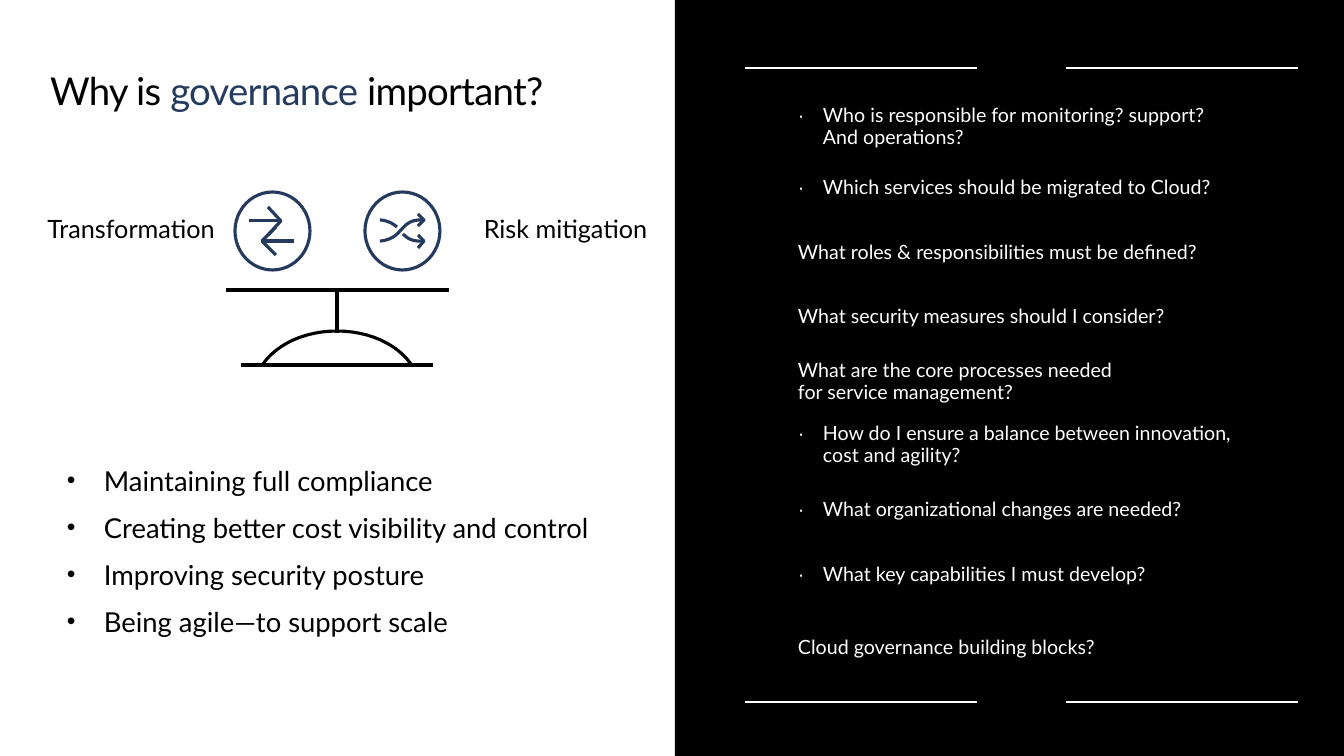
from lxml import etree
from pptx import Presentation
from pptx.dml.color import RGBColor
from pptx.enum.shapes import MSO_CONNECTOR, MSO_SHAPE
from pptx.enum.text import MSO_ANCHOR, MSO_AUTO_SIZE, PP_ALIGN
from pptx.oxml.ns import qn
from pptx.util import Pt

COLORS = {"ink": "000000", "navy": "243A5E", "paper": "FFFFFF"}
FONT = "Lato"
PX = 914400 / 100.8
SLIDE = (1344, 756)

TITLE = [("Why is ", "ink"), ("governance", "navy"), (" important?", "ink")]
GOALS = [
    "Maintaining full compliance",
    "Creating better cost visibility and control",
    "Improving security posture",
    "Being agile—to support scale",
]
# top, bulleted, text
QUESTIONS = [
    (106, True, "Who is responsible for monitoring? support?\nAnd operations?"),
    (178, True, "Which services should be migrated to Cloud?"),
    (243, False, "What roles & responsibilities must be defined?"),
    (307, False, "What security measures should I consider?"),
    (361, False, "What are the core processes needed\nfor service management?"),
    (424, True, "How do I ensure a balance between innovation,\ncost and agility?"),
    (500, True, "What organizational changes are needed?"),
    (565, True, "What key capabilities I must develop?"),
    (638, False, "Cloud governance building blocks?"),
]
SCALE_LABELS = [("Transformation", (46, 213, 170, 30)),
                ("Risk mitigation", (439, 213, 253, 30))]
CIRCLES = [(235, 192, 75, 78), (365, 192, 75, 78)]
SCALE_LINES = [(226, 290, 449, 290), (241, 365, 433, 365), (337, 290, 337, 333)]
RULE_LEFTS, RULE_TOPS, RULE_WIDTH = (745, 1066), (68, 702), 232

# Each stroke is a start point, then lines (x, y) or curves (x1, y1, x2, y2, x, y)
SWAP_ARROWS = [
    [(268, 207), (281, 221), (268, 235)],
    [(281, 221), (249, 221)],
    [(276, 227), (262, 241), (276, 255)],
    [(262, 241), (294, 241)],
]
SHUFFLE_ARROWS = [
    [(424, 241), (412, 242, 407, 238, 403, 234)],
    [(397, 227), (389, 220, 380, 220, 380, 220)],
    [(424, 220), (409, 219, 405, 226, 400, 231), (392, 241, 380, 241, 380, 241)],
    [(418, 226), (424, 220), (418, 214)],
    [(418, 248), (424, 241), (418, 235)],
]
DOME = [[(337, 331), (369, 331, 397, 344, 411, 364), (412, 365), (262, 365),
         (263, 364), (277, 344, 305, 331, 337, 331)]]


def emu(*lengths):
    return [round(length * PX) for length in lengths]


def rgb(name):
    return RGBColor.from_string(COLORS[name])


def add_bullet(para, mark, indent, percent):
    props = para._p.get_or_add_pPr()
    props.set("marL", str(emu(indent)[0]))
    props.set("indent", str(-emu(indent)[0]))
    for tag, key, value in (("a:buSzPct", "val", str(percent * 1000)),
                            ("a:buFont", "typeface", "Arial"),
                            ("a:buChar", "char", mark)):
        etree.SubElement(props, qn(tag)).set(key, value)


def write(box, paragraphs, size, color="ink", align=PP_ALIGN.LEFT, spacing=None,
          before=0, after=0, bullet=None, tracking=None):
    """Fill a box; each paragraph is a string or a list of (text, color) spans."""
    frame = box.text_frame
    frame.word_wrap = True
    frame.auto_size = MSO_AUTO_SIZE.NONE
    frame.vertical_anchor = MSO_ANCHOR.TOP
    frame.margin_left = frame.margin_right = frame.margin_top = frame.margin_bottom = 0
    for number, content in enumerate(paragraphs):
        para = frame.add_paragraph() if number else frame.paragraphs[0]
        if bullet:
            add_bullet(para, *bullet)
        para.alignment = align
        para.line_spacing = spacing
        para.space_before = Pt(before if number else 0)
        para.space_after = Pt(after)
        spans = [(content, color)] if isinstance(content, str) else content
        for text, span_color in spans:
            for row, line in enumerate(text.split("\n")):
                if row:
                    para.add_line_break()
                span = para.add_run()
                span.text = line
                span.font.name = FONT
                span.font.size = Pt(size)
                span.font.color.rgb = rgb(span_color)
                if tracking:
                    span._r.get_or_add_rPr().set("spc", str(tracking))


def place(box, *frame):
    box.left, box.top, box.width, box.height = emu(*frame)
    return box


def outline(shape, color):
    shape.shadow.inherit = False
    shape.fill.background()
    shape.line.color.rgb = rgb(color)
    shape.line.width = Pt(2.25)


def add_rule(page, ends, color, width):
    rule = page.shapes.add_connector(MSO_CONNECTOR.STRAIGHT, *emu(*ends))
    rule.line.color.rgb = rgb(color)
    rule.line.width = Pt(width)
    etree.SubElement(rule._element.spPr, qn("a:effectLst"))


def trace(stroke, steps=12):
    """Turn a stroke into points, sampling its cubic curves."""
    points = [stroke[0]]
    for move in stroke[1:]:
        if len(move) == 2:
            points.append(move)
            continue
        corners = [points[-1], move[:2], move[2:4], move[4:]]
        for step in range(1, steps + 1):
            t = step / steps
            weights = ((1 - t) ** 3, 3 * t * (1 - t) ** 2, 3 * t * t * (1 - t), t ** 3)
            points.append(tuple(sum(w * corner[axis] for w, corner in zip(weights, corners))
                                for axis in (0, 1)))
    return [tuple(emu(*point)) for point in points]


def add_drawing(page, strokes, color, close=False):
    traced = [trace(stroke) for stroke in strokes]
    builder = page.shapes.build_freeform(*traced[0][0], scale=1.0)
    for number, points in enumerate(traced):
        if number:
            builder.move_to(*points[0])
        builder.add_line_segments(points[1:], close=close)
    outline(builder.convert_to_shape(), color)


def main():
    deck = Presentation()
    deck.slide_width, deck.slide_height = emu(*SLIDE)
    page = deck.slides.add_slide(deck.slide_layouts[1])
    shapes = page.shapes

    write(place(shapes.title, 50, 69, 594, 44), [TITLE], 27.4,
          spacing=Pt(31.4), tracking=-50)
    write(place(page.placeholders[1], 67, 464, 546, 170), GOALS, 19.6,
          spacing=Pt(23.5), before=4, after=6, bullet=("•", 37, 90))

    for circle in CIRCLES:
        outline(shapes.add_shape(MSO_SHAPE.OVAL, *emu(*circle)), "navy")
    add_drawing(page, SWAP_ARROWS, "navy")
    add_drawing(page, SHUFFLE_ARROWS, "navy")
    for ends in SCALE_LINES:
        add_rule(page, ends, "ink", 2.25)
    add_drawing(page, DOME, "ink", close=True)
    for label, frame in SCALE_LABELS:
        write(shapes.add_textbox(*emu(*frame)), [label], 18, align=PP_ALIGN.CENTER)

    panel = shapes.add_shape(MSO_SHAPE.RECTANGLE, *emu(675, 0, 669, 756))
    panel.shadow.inherit = False
    panel.fill.solid()
    panel.fill.fore_color.rgb = rgb("ink")
    panel.line.fill.background()
    for top in RULE_TOPS:
        for left in RULE_LEFTS:
            add_rule(page, (left, top, left + RULE_WIDTH, top), "paper", 2)
    for top, bulleted, question in QUESTIONS:
        height = 21 * (question.count("\n") + 1)
        write(shapes.add_textbox(*emu(798, top, 490, height)), [question], 14,
              color="paper", spacing=0.9, after=6,
              bullet=("·", 25, 100) if bulleted else None)

    deck.save("out.pptx")


if __name__ == "__main__":
    main()
